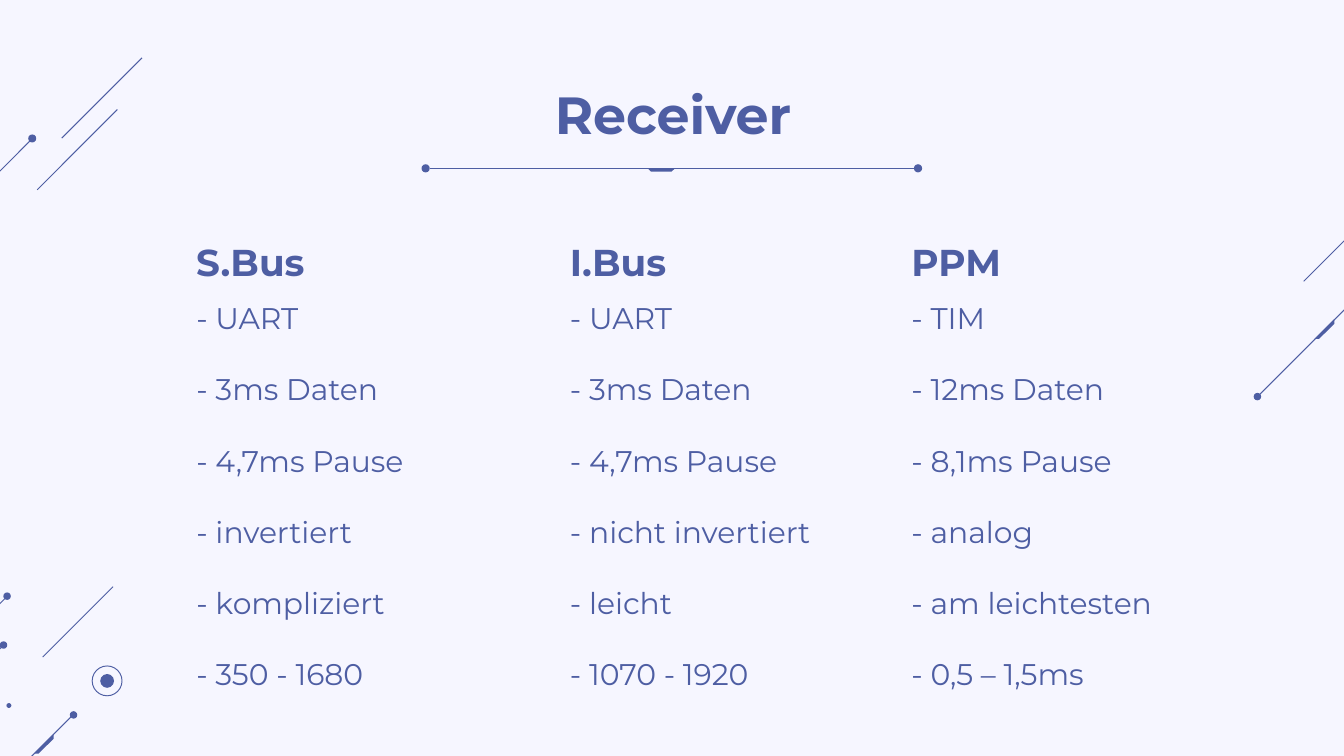
"""Build the Receiver slide comparing three protocols."""
from dataclasses import dataclass

import lxml.etree
import pptx
import pptx.dml.color
import pptx.enum.shapes
import pptx.enum.text
import pptx.oxml.ns
import pptx.util

Pt = pptx.util.Pt
INK = pptx.dml.color.RGBColor(0x4E, 0x5E, 0xA3)
PAPER = pptx.dml.color.RGBColor(0xF6, 0xF6, 0xFF)
FACE = "Montserrat"


@dataclass
class Column:
    left: float
    width: float
    head: str
    items: list[str]


@dataclass
class Slash:
    left: float
    bottom: float
    run: float


@dataclass
class Dot:
    x: float
    y: float
    size: float
    hollow: bool = False


COLUMNS = [
    Column(98, 141, "S.Bus", ["- UART", "- 3ms Daten", "- 4,7ms Pause",
                              "- invertiert", "- kompliziert", "- 350 - 1680"]),
    Column(298.3, 158.5, "I.Bus", ["- UART", "- 3ms Daten", "- 4,7ms Pause",
                                   "- nicht invertiert", "- leicht", "- 1070 - 1920"]),
    Column(481.2, 153.5, "PPM", ["- TIM", "- 12ms Daten", "- 8,1ms Pause",
                                 "- analog", "- am leichtesten", "- 0,5 – 1,5ms"]),
]
SLASHES = [
    Slash(33.1, 74, 43), Slash(19.9, 101.7, 43), Slash(-3.6, 95.2, 21),
    Slash(-14.4, 337.7, 18.4), Slash(-8.4, 355.9, 10.3),
    Slash(-12.8, 434.9, 51.5), Slash(22.9, 352, 37.7),
    Slash(673.5, 212.7, 51.5), Slash(698.4, 150.7, 37.7),
]
DOTS = [
    Dot(17.3, 74.2, 4.3), Dot(3.8, 319.4, 4), Dot(1.9, 345.6, 4),
    Dot(39.4, 383, 4), Dot(4.8, 378, 2.6), Dot(673.6, 212.5, 4),
    Dot(57.4, 364.8, 7.4), Dot(57.4, 364.8, 16, True),
    Dot(228, 90.2, 4.4), Dot(491.8, 90.2, 4.4),
]
WEDGES = [(18.2, 393.2), (704.2, 171)]


def draw_line(slide, x1: float, y1: float, x2: float, y2: float, weight: float) -> None:
    line = slide.shapes.add_connector(
        pptx.enum.shapes.MSO_CONNECTOR.STRAIGHT, Pt(x1), Pt(y1), Pt(x2), Pt(y2))
    line.line.color.rgb = INK
    line.line.width = Pt(weight)
    lxml.etree.SubElement(line._element.spPr, pptx.oxml.ns.qn("a:effectLst"))


def paint(shape) -> None:
    shape.shadow.inherit = False
    shape.fill.solid()
    shape.fill.fore_color.rgb = INK
    shape.line.fill.background()


def draw_dot(slide, dot: Dot) -> None:
    half = dot.size / 2
    shape = slide.shapes.add_shape(
        pptx.enum.shapes.MSO_SHAPE.OVAL,
        Pt(dot.x - half), Pt(dot.y - half), Pt(dot.size), Pt(dot.size))
    paint(shape)
    if dot.hollow:
        shape.fill.background()
        shape.line.color.rgb = INK
        shape.line.width = Pt(0.5)


def draw_poly(slide, points: list[tuple[float, float]]) -> None:
    start, *rest = [(Pt(x), Pt(y)) for x, y in points]
    form = slide.shapes.build_freeform(*start)
    form.add_line_segments(rest)
    paint(form.convert_to_shape())


def place(shape, left: float, top: float, width: float, height: float) -> None:
    shape.left, shape.top, shape.width, shape.height = map(Pt, (left, top, width, height))


def write(shape, lines: list[str], size: float, bold: bool = False,
          inset: float = 0, align=pptx.enum.text.PP_ALIGN.LEFT) -> None:
    frame = shape.text_frame
    frame.word_wrap = True
    frame.auto_size = pptx.enum.text.MSO_AUTO_SIZE.NONE
    frame.vertical_anchor = pptx.enum.text.MSO_ANCHOR.TOP
    frame.margin_left = frame.margin_right = Pt(7.2)
    frame.margin_top = frame.margin_bottom = Pt(inset)
    for index, text in enumerate(lines):
        para = frame.add_paragraph() if index else frame.paragraphs[0]
        props = para._p.get_or_add_pPr()
        props.set("marL", "0")
        props.set("indent", "0")
        lxml.etree.SubElement(props, pptx.oxml.ns.qn("a:buNone"))
        para.alignment = align
        para.space_before = Pt(19 if index else 0)
        run = para.add_run()
        run.text = text
        run.font.name = FACE
        run.font.size = Pt(size)
        run.font.bold = bold
        run.font.color.rgb = INK


def main() -> None:
    deck = pptx.Presentation()
    deck.slide_width, deck.slide_height = Pt(720), Pt(405)
    slide = deck.slides.add_slide(deck.slide_layouts[1])
    slide.background.fill.solid()
    slide.background.fill.fore_color.rgb = PAPER

    for slash in SLASHES:
        draw_line(slide, slash.left, slash.bottom,
                  slash.left + slash.run, slash.bottom - slash.run, 0.5)
    draw_line(slide, 489.6, 90.2, 230.4, 90.2, 0.75)
    for dot in DOTS:
        draw_dot(slide, dot)
    for x, y in WEDGES:
        draw_poly(slide, [(x + 10.6, y), (x, y + 10.6),
                          (x + 2.4, y + 10.6), (x + 10.6, y + 2.6)])
    draw_poly(slide, [(347, 90.2), (361.6, 90.2), (359.8, 92), (348.8, 92)])

    title = slide.shapes.title
    place(title, 62, 44, 597, 45)
    write(title, ["Receiver"], 28, True, align=pptx.enum.text.PP_ALIGN.CENTER)
    for index, column in enumerate(COLUMNS):
        head = slide.shapes.add_textbox(0, 0, 0, 0)
        place(head, column.left, 124.6, 130, 31.5)
        write(head, [column.head], 20, True, 3.6)
        body = slide.shapes.add_textbox(0, 0, 0, 0) if index else slide.placeholders[1]
        place(body, column.left, 160.6, column.width, 217)
        write(body, column.items, 16)
    deck.save("out.pptx")


if __name__ == "__main__":
    main()
